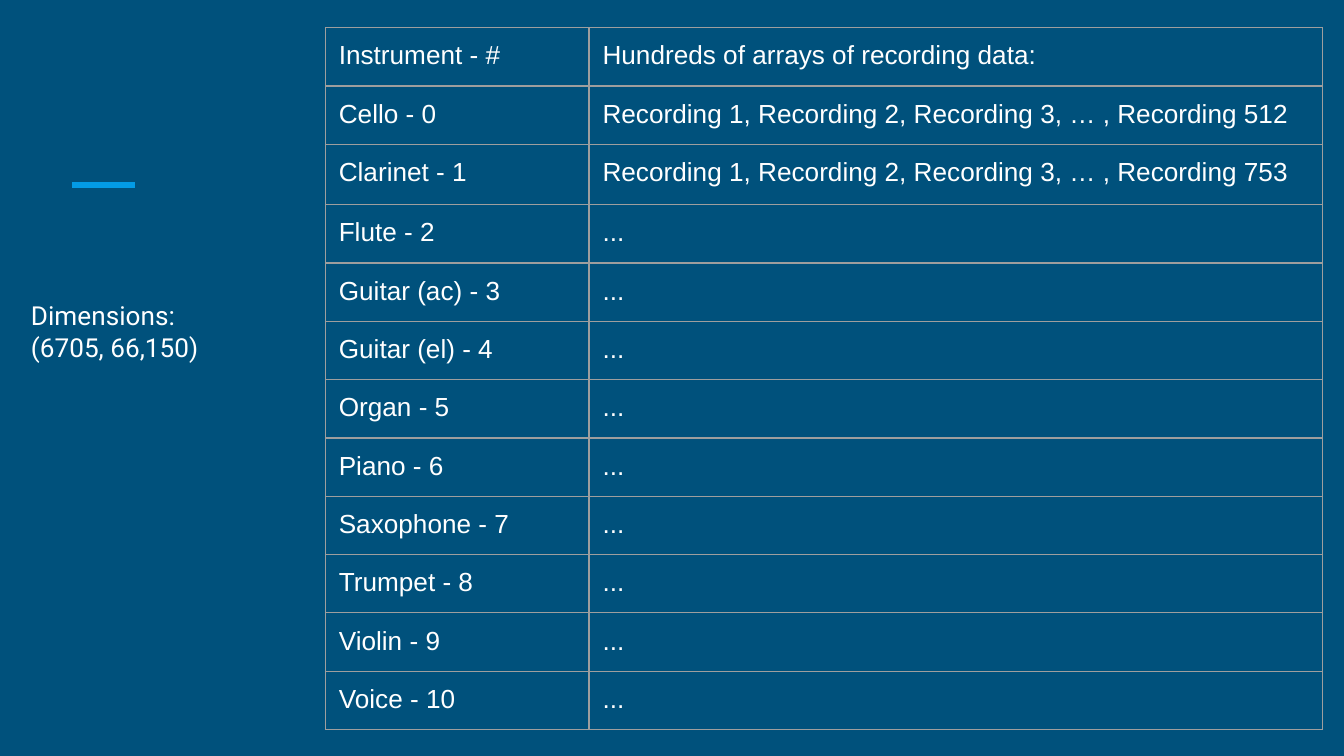
import pptx
import pptx.dml.color
import pptx.enum.shapes
import pptx.oxml
import pptx.oxml.ns
import pptx.util
from dataclasses import dataclass

Pt = pptx.util.Pt
RGB = pptx.dml.color.RGBColor.from_string


@dataclass(frozen=True)
class Theme:
    """Colours, fonts and sizes of the slide."""
    back: str = "00517C"
    text: str = "FFFFFF"
    mark: str = "039BE5"
    grid: str = "9E9E9E"
    cell: str = "Arial"
    note: str = "Roboto"
    size: float = 14
    inset: float = 7.2
    rule: float = 0.75


THEME = Theme()
NAMES = ["Cello", "Clarinet", "Flute", "Guitar (ac)", "Guitar (el)", "Organ",
         "Piano", "Saxophone", "Trumpet", "Violin", "Voice"]
COUNTS = {"Cello": 512, "Clarinet": 753}


def style(frame, face):
    """Set the margins of a text frame and the font of its paragraphs."""
    for para in frame.paragraphs:
        para.font.name = face
        para.font.size = Pt(THEME.size)
        para.font.color.rgb = RGB(THEME.text)


def inset(item):
    """Set equal margins on a cell or text frame."""
    item.margin_left = item.margin_right = Pt(THEME.inset)
    item.margin_top = item.margin_bottom = Pt(THEME.inset)


def border(cell):
    """Draw a thin line on all four sides of a cell."""
    props = cell._tc.get_or_add_tcPr()
    for spot, side in enumerate(("lnL", "lnR", "lnT", "lnB")):
        line = pptx.oxml.parse_xml(
            f'<a:{side} {pptx.oxml.ns.nsdecls("a")} w="{Pt(THEME.rule)}">'
            f'<a:solidFill><a:srgbClr val="{THEME.grid}"/></a:solidFill>'
            f'</a:{side}>')
        props.insert(spot, line)


def fill(cell, text):
    """Write and format one table cell."""
    cell.text = text
    cell.fill.background()
    inset(cell)
    style(cell.text_frame, THEME.cell)
    border(cell)


def listing():
    """Return the rows of the instrument table."""
    rows = [("Instrument - #", "Hundreds of arrays of recording data:")]
    for code, name in enumerate(NAMES):
        data = "..."
        if name in COUNTS:
            data = ("Recording 1, Recording 2, Recording 3, … , "
                    f"Recording {COUNTS[name]}")
        rows.append((f"{name} - {code}", data))
    return rows


def table(slide, left, top, width, height):
    """Place the instrument table in its box."""
    rows = listing()
    extra = 3.6
    step = (height - extra) / len(rows)
    grid = slide.shapes.add_table(len(rows), 2, Pt(left), Pt(top),
                                  Pt(width), Pt(height)).table
    grid.first_row = grid.horz_banding = False
    first = 141.3
    grid.columns[0].width = Pt(first)
    grid.columns[1].width = Pt(width - first)
    for row, texts in zip(grid.rows, rows):
        row.height = Pt(step)
        for cell, text in zip(row.cells, texts):
            fill(cell, text)
    grid.rows[2].height = Pt(step + extra)


def panel(slide, left, top, width, height):
    """Place the accent line and the dimensions note in the side box."""
    kind = pptx.enum.shapes.MSO_CONNECTOR.STRAIGHT
    mark = slide.shapes.add_connector(kind, Pt(left + 29.3), Pt(top),
                                      Pt(left + 62.8), Pt(top))
    mark.line.color.rgb = RGB(THEME.mark)
    mark.line.width = Pt(3)
    mark._element.spPr.append(
        pptx.oxml.parse_xml(f'<a:effectLst {pptx.oxml.ns.nsdecls("a")}/>'))
    drop = 54.2
    note = slide.shapes.add_textbox(Pt(left), Pt(top + drop), Pt(width),
                                    Pt(height - drop))
    frame = note.text_frame
    frame.word_wrap = True
    frame.text = "Dimensions:\n(6705, 66,150)"
    inset(frame)
    style(frame, THEME.note)


def main():
    """Build and save the slide."""
    deck = pptx.Presentation()
    deck.slide_width, deck.slide_height = Pt(720), Pt(405)
    slide = deck.slides.add_slide(deck.slide_layouts[6])
    slide.background.fill.solid()
    slide.background.fill.fore_color.rgb = RGB(THEME.back)
    panel(slide, 9.5, 99.1, 157.7, 102.4)
    table(slide, 174.3, 14.8, 534.3, 349.2)
    deck.save("out.pptx")


if __name__ == "__main__":
    main()
